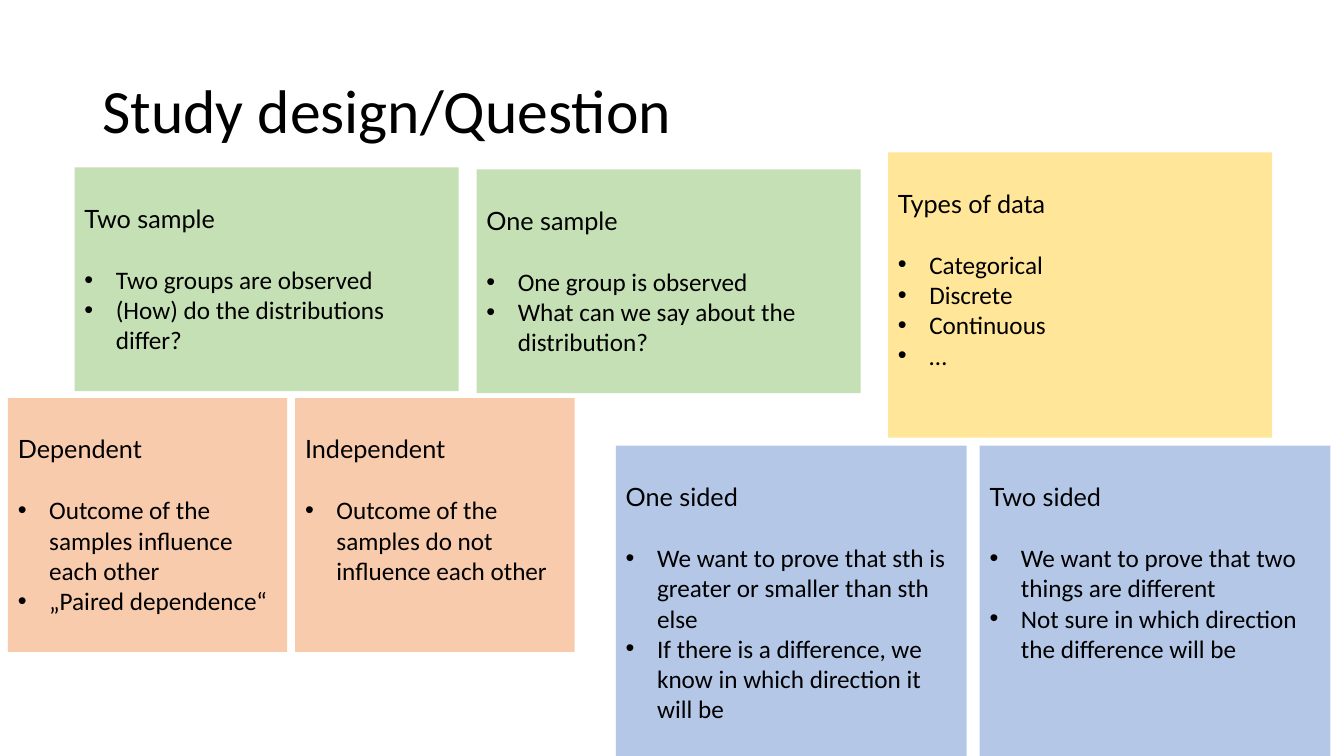
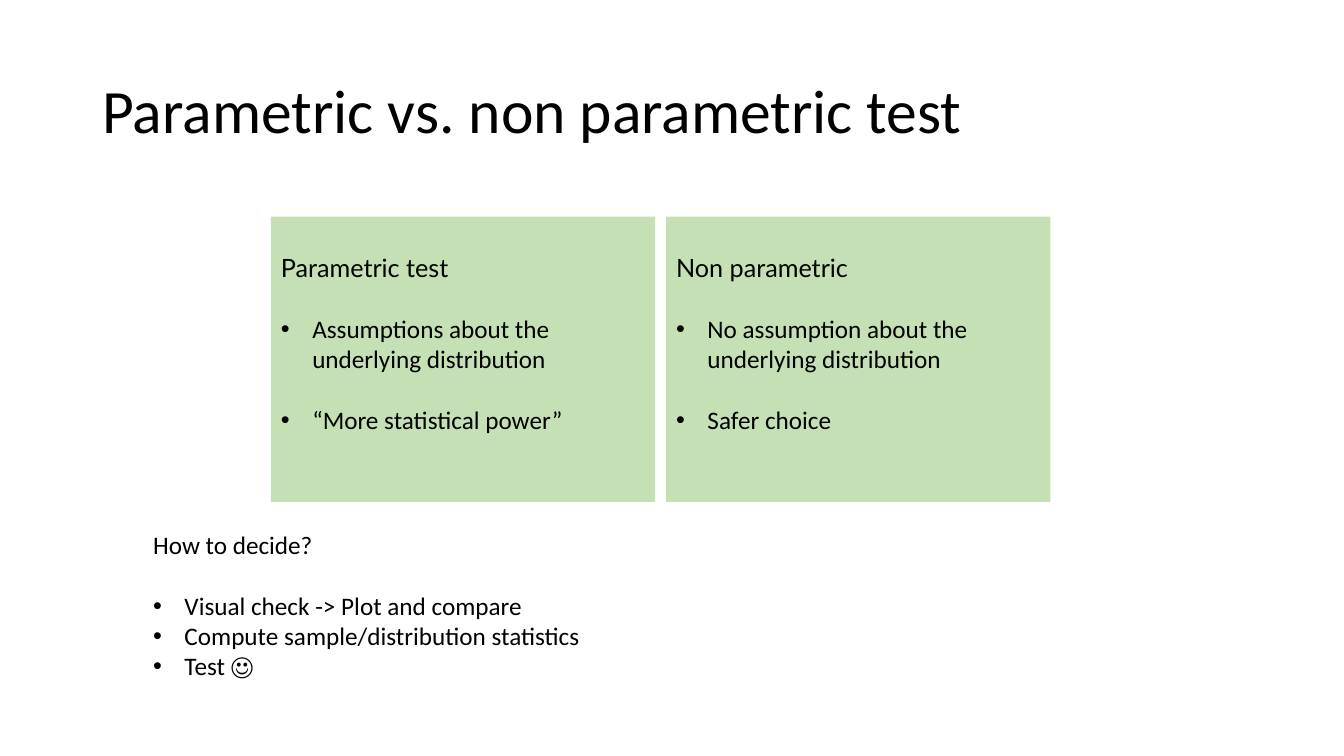
from dataclasses import dataclass

import pptx
import pptx.dml.color
import pptx.enum.shapes
import pptx.enum.text
import pptx.oxml.ns
import pptx.util
from lxml import etree
from pptx.dml.color import RGBColor
from pptx.util import Cm, Pt

BLACK = RGBColor(0x00, 0x00, 0x00)
GREEN = RGBColor(0xC5, 0xE0, 0xB4)
ORANGE = RGBColor(0xF8, 0xCB, 0xAD)
YELLOW = RGBColor(0xFF, 0xE6, 0x99)
BLUE = RGBColor(0xB4, 0xC7, 0xE7)

BODY_FONT = "Calibri"
HEADING_FONT = "Lato"
TITLE_SIZE = Pt(44)
TEXT_SIZE = Pt(18)
LINE_GAP = Pt(22)
BULLET_INDENT = Cm(0.79)
CARD_TOP_INSET = Cm(0.9)


@dataclass(frozen=True)
class Card:
    heading: str
    bullets: tuple[str, ...]


@dataclass(frozen=True)
class CardGroup:
    """Equal cards in a row; lefts and tops are in centimetres."""
    cards: tuple[Card, ...]
    lefts: tuple[float, ...]
    tops: tuple[float, ...]
    width: float
    height: float
    fill: RGBColor
    bullet_gap: pptx.util.Length = Pt(0)


STUDY_DESIGN = (
    CardGroup(
        (Card("Two sample", ("Two groups are observed",
                             "(How) do the distributions differ?")),
         Card("One sample", ("One group is observed",
                             "What can we say about the distribution?"))),
        (1.88, 12.01), (4.22, 4.27), 9.68, 5.64, GREEN),
    CardGroup(
        (Card("Dependent", ("Outcome of the samples influence each other",
                            "„Paired dependence“")),
         Card("Independent",
              ("Outcome of the samples do not influence each other",))),
        (0.2, 7.44), (10.03, 10.03), 7.04, 6.4, ORANGE),
    CardGroup(
        (Card("Types of data", ("Categorical", "Discrete", "Continuous", "…")),),
        (22.38,), (3.84,), 9.68, 7.19, YELLOW),
    CardGroup(
        (Card("One sided",
              ("We want to prove that sth is greater or smaller than sth else",
               "If there is a difference, we know in which direction it will be")),
         Card("Two sided",
              ("We want to prove that two things are different",
               "Not sure in which direction the difference will be"))),
        (15.52, 24.69), (11.23, 11.23), 8.84, 7.82, BLUE),
)

TEST_KINDS = CardGroup(
    (Card("Parametric test", ("Assumptions about the underlying distribution",
                              "“More statistical power”")),
     Card("Non parametric", ("No assumption about the underlying distribution",
                             "Safer choice"))),
    (6.83, 16.79), (5.46, 5.46), 9.68, 7.19, GREEN, LINE_GAP)

DECISION = Card("How to decide?", ("Visual check -> Plot and compare",
                                   "Compute sample/distribution statistics",
                                   "Test ☺"))


def add_run(p, text: str, font: str = BODY_FONT, size=TEXT_SIZE) -> None:
    r = p.add_run()
    r.text = text
    r.font.name = font
    r.font.size = size
    r.font.color.rgb = BLACK


def make_bullet(p) -> None:
    pPr = p._p.get_or_add_pPr()
    pPr.set("marL", str(BULLET_INDENT))
    pPr.set("indent", str(-BULLET_INDENT))
    qn = pptx.oxml.ns.qn
    etree.SubElement(pPr, qn("a:buFont"), typeface="Arial")
    etree.SubElement(pPr, qn("a:buChar"), char="•")


def write_card(tf, card: Card, heading_font: str, bullet_gap) -> None:
    """Write a heading, a gap and the bullets into a text frame."""
    tf.word_wrap = True
    tf.vertical_anchor = pptx.enum.text.MSO_ANCHOR.TOP
    p = tf.paragraphs[0]
    p.alignment = pptx.enum.text.PP_ALIGN.LEFT
    p.space_after = LINE_GAP
    add_run(p, card.heading, heading_font)
    for bullet in card.bullets:
        p = tf.add_paragraph()
        p.alignment = pptx.enum.text.PP_ALIGN.LEFT
        p.space_after = bullet_gap
        make_bullet(p)
        add_run(p, bullet)


def add_cards(s, group: CardGroup) -> None:
    for card, left, top in zip(group.cards, group.lefts, group.tops):
        sp = s.shapes.add_shape(
            pptx.enum.shapes.MSO_SHAPE.RECTANGLE,
            Cm(left), Cm(top), Cm(group.width), Cm(group.height))
        sp.shadow.inherit = False
        sp.fill.solid()
        sp.fill.fore_color.rgb = group.fill
        sp.line.fill.background()
        sp.text_frame.margin_top = CARD_TOP_INSET
        write_card(sp.text_frame, card, HEADING_FONT, group.bullet_gap)


def add_titled_slide(prs, title: str):
    s = prs.slides.add_slide(prs.slide_layouts[6])
    sp = s.shapes.add_textbox(Cm(2.33), Cm(1.01), Cm(29.21), Cm(3.68))
    tf = sp.text_frame
    tf.word_wrap = True
    tf.vertical_anchor = pptx.enum.text.MSO_ANCHOR.MIDDLE
    p = tf.paragraphs[0]
    p.line_spacing = 0.9
    add_run(p, title, size=TITLE_SIZE)
    return s


def build_study_design(prs) -> None:
    s = add_titled_slide(prs, "Study design/Question")
    for group in STUDY_DESIGN:
        add_cards(s, group)


def build_test_kinds(prs) -> None:
    s = add_titled_slide(prs, "Parametric vs. non parametric test")
    add_cards(s, TEST_KINDS)
    sp = s.shapes.add_textbox(Cm(3.61), Cm(13.21), Cm(15.67), Cm(4.11))
    write_card(sp.text_frame, DECISION, BODY_FONT, Pt(0))


def main() -> None:
    prs = pptx.Presentation()
    prs.slide_width, prs.slide_height = Cm(33.87), Cm(19.05)
    build_study_design(prs)
    build_test_kinds(prs)
    prs.save("out.pptx")


if __name__ == "__main__":
    main()
